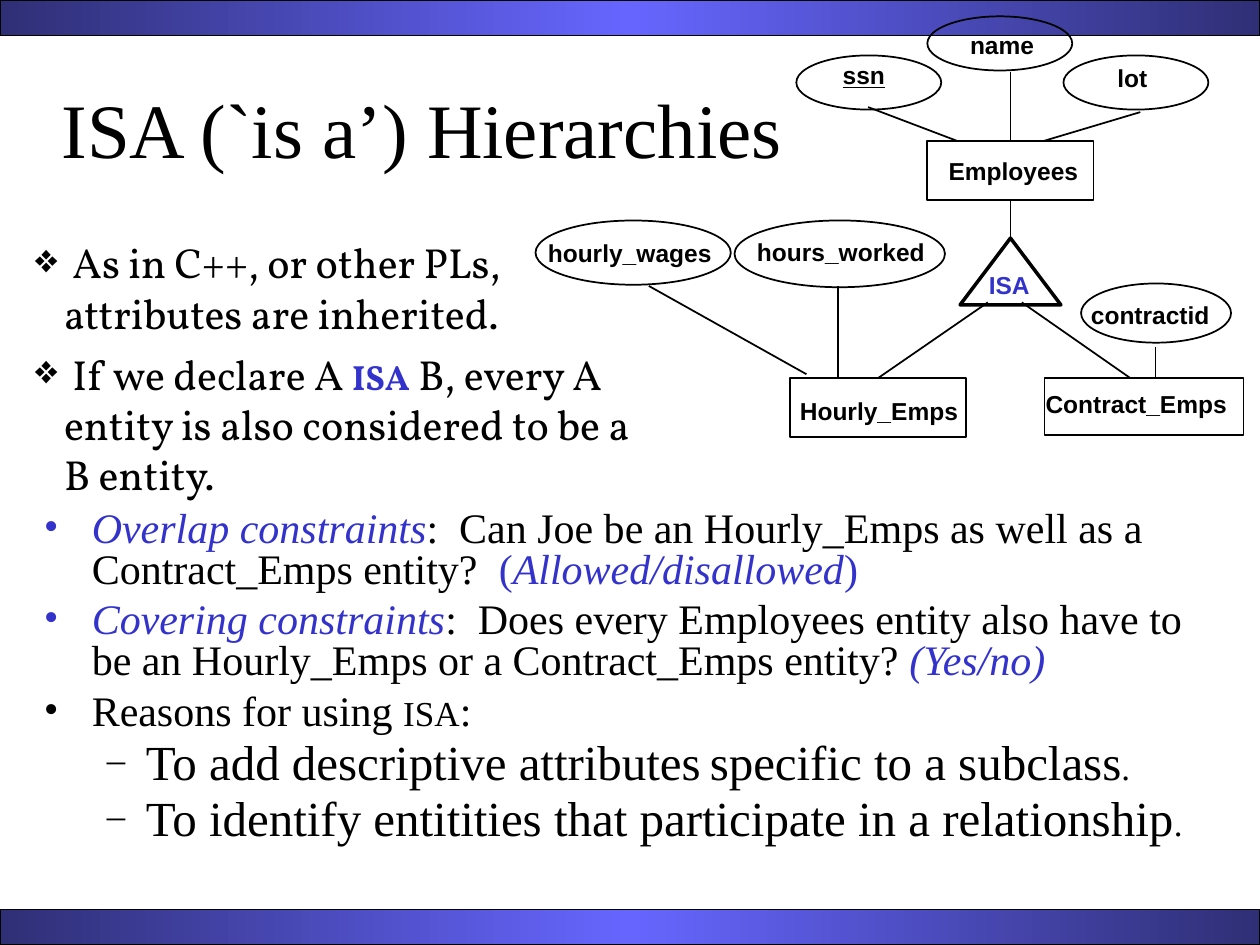
from pptx import Presentation
from pptx.dml.color import RGBColor
from pptx.enum.shapes import MSO_CONNECTOR, MSO_SHAPE
from pptx.enum.text import MSO_ANCHOR, MSO_AUTO_SIZE, PP_ALIGN
from pptx.oxml import parse_xml
from pptx.oxml.ns import nsdecls
from pptx.util import Inches, Pt

BLACK, BLUE = "000000", "3333CC"
BAND_STOPS = {0: "2F2F76", 50: "6666FF", 100: "2F2F76"}


def color(hex_value):
    return RGBColor.from_string(hex_value)


class SlideBuilder:
    """Holds the style and the current slide."""

    label_style = {"name": "Arial", "size": 14, "bold": True}
    title_style = {"name": "Times New Roman", "size": 44}
    intro_style = {"name": "Vollkorn", "size": 24}
    body_style = {"name": "Times New Roman", "size": 24}

    def __init__(self, slide):
        self.slide = slide

    def shape(self, kind, frame, line_width=1):
        shape = self.slide.shapes.add_shape(kind, *map(Inches, frame))
        shape.shadow.inherit = False
        shape.fill.background()
        shape.line.color.rgb = color(BLACK)
        shape.line.width = Pt(line_width)
        return shape

    def band(self, top):
        band = self.shape(MSO_SHAPE.RECTANGLE, (0, top, 10, 0.28), 0.75)
        stops = "".join(
            f'<a:gs pos="{place * 1000}"><a:srgbClr val="{value}"/></a:gs>'
            for place, value in BAND_STOPS.items())
        gradient = parse_xml(
            f'<a:gradFill {nsdecls("a")} rotWithShape="1"><a:gsLst>{stops}</a:gsLst>'
            '<a:lin ang="0" scaled="1"/></a:gradFill>')
        properties = band._element.spPr
        properties.replace(properties.find("{*}noFill"), gradient)

    def span(self, para, text, style):
        span = para.add_run()
        span.text = text
        values = {"color": BLACK, **style}
        span.font.color.rgb = color(values.pop("color"))
        values["size"] = Pt(values["size"])
        for name, value in values.items():
            setattr(span.font, name, value)

    def text_box(self, frame, wrap=True):
        box = self.slide.shapes.add_textbox(*map(Inches, frame))
        box.text_frame.word_wrap = wrap
        return box.text_frame

    def title(self, text, frame):
        box = self.text_box(frame)
        box.vertical_anchor = MSO_ANCHOR.MIDDLE
        para = box.paragraphs[0]
        para.alignment = PP_ALIGN.CENTER
        self.span(para, text, self.title_style)

    def label(self, text, frame, **changes):
        box = self.text_box(frame, wrap=False)
        box.auto_size = MSO_AUTO_SIZE.SHAPE_TO_FIT_TEXT
        self.span(box.paragraphs[0], text, {**self.label_style, **changes})

    def bullet(self, para, char, left, hanging, bullet_color, percent):
        properties = para._p.get_or_add_pPr()
        properties.set("marL", str(Inches(left)))
        properties.set("indent", str(-Inches(hanging)))
        for element in (f'buClr {nsdecls("a")}><a:srgbClr val="{bullet_color}"/></a:buClr>',
                        f'buSzPct {nsdecls("a")} val="{percent * 1000}"/>',
                        f'buFont {nsdecls("a")} typeface="Times New Roman"/>',
                        f'buChar {nsdecls("a")} char="{char}"/>'):
            properties.append(parse_xml("<a:" + element))

    def bullets(self, frame, style, items):
        box = self.text_box(frame)
        for index, (layout, spans) in enumerate(items):
            para = box.add_paragraph() if index else box.paragraphs[0]
            self.bullet(para, *layout["bullet"])
            para.level = layout.get("level", 0)
            para.line_spacing = layout.get("line_spacing")
            para.space_before = Pt(layout["space_before"] if index else 0)
            for text, changes in spans:
                self.span(para, text, {**style, **changes})

    def line(self, start, end, begin_join=None, end_join=None):
        line = self.slide.shapes.add_connector(
            MSO_CONNECTOR.STRAIGHT, *map(Inches, start + end))
        line.line.color.rgb = color(BLACK)
        line.line.width = Pt(1)
        line._element.spPr.append(parse_xml(f'<a:effectLst {nsdecls("a")}/>'))
        if begin_join:
            line.begin_connect(*begin_join)
        if end_join:
            line.end_connect(*end_join)


def main():
    deck = Presentation()
    deck.slide_width, deck.slide_height = Inches(10), Inches(7.5)
    page = SlideBuilder(deck.slides.add_slide(deck.slide_layouts[6]))

    # Bands and title
    for top in (0, 7.22):
        page.band(top)
    page.title("ISA (`is a’) Hierarchies", (-0.9, 0.41, 8.5, 1.21))

    # Attributes
    for frame in ((6.32, 0.44, 1.15, 0.43), (8.44, 0.44, 1.15, 0.43),
                  (7.36, 0.13, 1.15, 0.43), (4.25, 1.75, 1.55, 0.51),
                  (5.83, 1.75, 1.67, 0.53), (8.58, 2.25, 1.19, 0.47)):
        page.shape(MSO_SHAPE.OVAL, frame)

    # Entities and the ISA triangle
    employees, hourly, contract = [
        page.shape(MSO_SHAPE.RECTANGLE, frame)
        for frame in ((7.36, 1.12, 1.32, 0.47), (6.27, 3, 1.4, 0.47),
                      (8.29, 3, 1.58, 0.45))]
    triangle = page.shape(MSO_SHAPE.ISOSCELES_TRIANGLE, (7.62, 1.89, 0.8, 0.53), 2)

    # Links
    page.line((6.89, 0.85), (7.6, 1.12))
    page.line((8.02, 0.57), (8.02, 1.12), end_join=(employees, 0))
    page.line((9.05, 0.89), (8.28, 1.12))
    page.line((8.02, 1.89), (8.02, 1.59), (triangle, 0), (employees, 2))
    page.line((5.15, 2.27), (6.4, 2.97))
    page.line((6.65, 2.27), (6.65, 3))
    page.line((7.84, 2.4), (6.97, 3), end_join=(hourly, 0))
    page.line((8.11, 2.4), (8.97, 3))
    page.line((9.17, 2.75), (9.17, 3))

    # Diagram labels
    for text, left, top, width in (
            ("name", 7.6, 0.19, 0.71), ("lot", 8.77, 0.45, 0.44),
            ("Employees", 7.43, 1.19, 1.23), ("hourly_wages", 4.25, 1.84, 1.5),
            ("hours_worked", 5.91, 1.83, 1.53), ("contractid", 8.56, 2.33, 1.14),
            ("Hourly_Emps", 6.25, 3.09, 1.46), ("Contract_Emps", 8.2, 3.04, 1.64)):
        page.label(text, (left, top, width, 0.33))
    page.label("ssn", (6.59, 0.43, 0.57, 0.33), underline=True)
    page.label("ISA", (7.75, 2.09, 0.56, 0.33), color=BLUE)

    # Introduction
    intro = {"bullet": ("❖", 0.24, 0.24, BLACK, 75), "space_before": 6}
    page.bullets((0.17, 1.83, 5.14, 2.18), page.intro_style, [
        (intro, [(" As in C++, or other PLs, attributes are inherited.", {})]),
        (intro, [(" If we declare A ", {}),
                 ("ISA", {"size": 20, "color": BLUE, "bold": True}),
                 (" B, every A entity is also considered to be a B entity.", {})]),
    ])

    # Constraints and reasons
    blue, blue_italic = {"color": BLUE}, {"color": BLUE, "italic": True}
    small, large = {"size": 20}, {"size": 28}
    reason = {"bullet": ("•", 0.38, 0.38, BLACK, 100),
              "line_spacing": 0.8, "space_before": 6}
    constraint = {**reason, "bullet": ("•", 0.38, 0.38, BLUE, 100)}
    detail = {"bullet": ("–", 0.81, 0.31, BLACK, 75), "level": 1,
              "line_spacing": 0.8, "space_before": 5}
    page.bullets((0.25, 4.01, 9.42, 2.99), page.body_style, [
        (constraint, [
            ("Overlap constraints", blue_italic),
            (":  Can Joe be an Hourly_Emps as well as a Contract_Emps entity?  ", {}),
            ("(", blue), ("Allowed/disallowed", blue_italic), (")", blue)]),
        (constraint, [
            ("Covering constraints", blue_italic),
            (":  Does every Employees entity also have to be an Hourly_Emps"
             " or a Contract_Emps entity?", {}),
            (" (Yes/no)", blue_italic)]),
        (reason, [("Reasons for using ", {}), ("ISA", small), (":", {})]),
        (detail, [("To add descriptive attributes", large), (" ", small),
                  ("specific to a subclass", large), (".", small)]),
        (detail, [("To identify entitities that participate in a relationship", large),
                  (".", small)]),
    ])

    deck.save("out.pptx")


if __name__ == "__main__":
    main()
